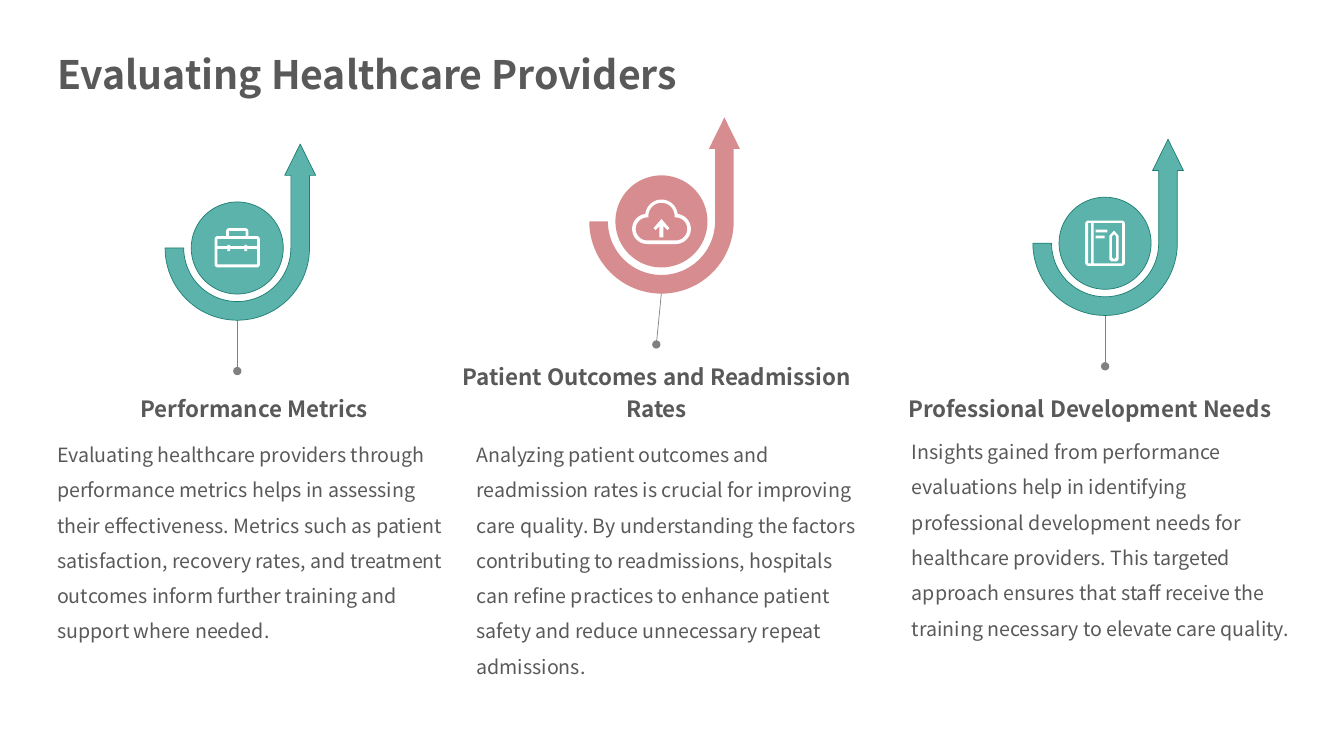
from math import cos, radians, sin

from lxml.etree import SubElement
from pptx import Presentation
from pptx.dml.color import RGBColor
from pptx.enum.shapes import MSO_CONNECTOR, MSO_SHAPE
from pptx.enum.text import MSO_ANCHOR, MSO_AUTO_SIZE, PP_ALIGN
from pptx.oxml.ns import qn
from pptx.util import Cm, Pt

FONT = "Noto Sans CJK SC"
TEXT, PIN, WHITE = "595959", "808080", "FFFFFF"
TEAL, TEAL_EDGE, ROSE = "5CB3AB", "1F7F72", "D78D8F"
COLUMN_WIDTH = 10.34
DISC_RADIUS, INNER_RADIUS, OUTER_RADIUS = 1.16, 1.35, 1.82


def color(value):
    return RGBColor.from_string(value)


# Text
def write(shape, text, size=14, bold=False, align=PP_ALIGN.LEFT,
          anchor=MSO_ANCHOR.TOP, spacing=1.0):
    frame = shape.text_frame
    frame.word_wrap = True
    frame.auto_size = MSO_AUTO_SIZE.NONE
    frame.vertical_anchor = anchor
    para = frame.paragraphs[0]
    para.alignment = align
    para.line_spacing = spacing
    para.space_before = Pt(0)
    span = para.add_run()
    span.text = text
    span.font.name = FONT
    span.font.size = Pt(size)
    span.font.bold = bold
    span.font.color.rgb = color(TEXT)


def text_box(page, box, text, **form):
    write(page.shapes.add_textbox(*map(Cm, box)), text, **form)


# Outlines, in centimetres around the middle of a badge
def arc(x, y, radius, start, end, steps=24):
    angles = [radians(start + (end - start) * i / steps) for i in range(steps + 1)]
    return [(x + radius * cos(a), y + radius * sin(a)) for a in angles]


def rectangle(left, top, right, bottom):
    return [(left, top), (right, top), (right, bottom), (left, bottom)]


def rounded(left, top, right, bottom, r=0.08):
    return (arc(left + r, top + r, r, 180, 270, 6) + arc(right - r, top + r, r, 270, 360, 6)
            + arc(right - r, bottom - r, r, 0, 90, 6) + arc(left + r, bottom - r, r, 90, 180, 6))


def paint(shape, fill, edge=None):
    shape.shadow.inherit = False
    shape.fill.solid()
    shape.fill.fore_color.rgb = color(fill)
    if edge:
        shape.line.color.rgb = color(edge)
        shape.line.width = Pt(0.5)
    else:
        shape.line.fill.background()


def outline(page, center, contours, fill, edge=None):
    x, y = center
    paths = [[(Cm(x + dx), Cm(y + dy)) for dx, dy in contour] for contour in contours]
    builder = page.shapes.build_freeform(*paths[0][0], scale=1.0)
    for number, points in enumerate(paths):
        if number:
            builder.move_to(*points[0])
        builder.add_line_segments(points[1:], close=True)
    paint(builder.convert_to_shape(), fill, edge)


# Icons
def compartment(far, edge, clasp):
    right = [(0.5, edge), (0.25, edge), (0.25, clasp), (0.18, clasp), (0.18, edge)]
    left = [(-x, y) for x, y in reversed(right)]
    return [(-0.5, far), (0.5, far)] + right + left


def briefcase(page, center):
    r = 0.08
    silhouette = (arc(-0.49, -0.22, r, 180, 270, 6) + [(-0.28, -0.3)]
                  + arc(-0.2, -0.42, r, 180, 270, 6) + arc(0.2, -0.42, r, 270, 360, 6)
                  + [(0.28, -0.3)] + arc(0.49, -0.22, r, 270, 360, 6)
                  + arc(0.49, 0.41, r, 0, 90, 6) + arc(-0.49, 0.41, r, 90, 180, 6))
    outline(page, center, [silhouette, rectangle(-0.21, -0.43, 0.21, -0.3),
                           compartment(-0.23, -0.05, -0.08),
                           compartment(0.41, 0.02, 0.08)], WHITE)


def cloud(page, center):
    outer = (arc(-0.36, 0.19, 0.38, 90, 262) + arc(0, -0.14, 0.41, 187, 353)
             + arc(0.36, 0.19, 0.38, 278, 450))
    inner = (arc(-0.36, 0.19, 0.29, 90, 270) + [(-0.33, -0.1)]
             + arc(0, -0.14, 0.33, 180, 360) + [(0.33, -0.1)]
             + arc(0.36, 0.19, 0.29, 270, 450))
    half = [(0.2, 0.17), (0.15, 0.22), (0.05, 0.12), (0.05, 0.4)]
    upload = [(0, -0.06)] + half + [(-x, y) for x, y in reversed(half)]
    outline(page, center, [outer, inner], WHITE)
    outline(page, center, [upload], WHITE)


def pencil(left, tip, right, shoulder, bottom):
    return [(left, shoulder), ((left + right) / 2, tip), (right, shoulder),
            (right, bottom - 0.05), (right - 0.05, bottom),
            (left + 0.05, bottom), (left, bottom - 0.05)]


def notebook(page, center):
    outline(page, center, [rounded(-0.5, -0.57, 0.5, 0.57),
                           rectangle(-0.43, -0.51, -0.35, 0.51),
                           rectangle(-0.29, -0.51, 0.43, 0.51)], WHITE)
    outline(page, center, [pencil(0.11, -0.32, 0.34, -0.19, 0.46),
                           pencil(0.17, -0.23, 0.28, -0.17, 0.4)], WHITE)
    for top, width in ((-0.34, 0.3), (-0.19, 0.23)):
        box = (center[0] - 0.24, center[1] + top, width, 0.07)
        paint(page.shapes.add_shape(MSO_SHAPE.RECTANGLE, *map(Cm, box)), WHITE)


# Badge: pin, disc, hooked arrow and icon
def badge(page, center, icon, fill, edge, lean):
    x, y = center
    pin = page.shapes.add_connector(MSO_CONNECTOR.STRAIGHT, Cm(x), Cm(y + 1.78),
                                    Cm(x + lean), Cm(y + 3.1))
    pin.line.color.rgb = color(PIN)
    pin.line.width = Pt(0.5)
    SubElement(pin.line._get_or_add_ln(), qn("a:tailEnd"), type="oval")
    SubElement(pin._element.spPr, qn("a:effectLst"))

    box = (x - DISC_RADIUS, y - DISC_RADIUS, 2 * DISC_RADIUS, 2 * DISC_RADIUS)
    paint(page.shapes.add_shape(MSO_SHAPE.OVAL, *map(Cm, box)), fill, edge)

    neck, middle = -1.83, (INNER_RADIUS + OUTER_RADIUS) / 2
    hook = ([(middle, -2.62), (middle - 0.39, neck), (INNER_RADIUS, neck)]
            + arc(0, 0, INNER_RADIUS, 0, 180, 48) + arc(0, 0, OUTER_RADIUS, 180, 0, 48)
            + [(OUTER_RADIUS, neck), (middle + 0.39, neck)])
    outline(page, center, [hook], fill, edge)
    icon(page, center)


# Column: badge above a heading and its description
def column(page, center, icon, fill, edge, lean, heading_left, heading, body_at, body):
    badge(page, center, icon, fill, edge, lean)
    text_box(page, (heading_left, 8.94, COLUMN_WIDTH, 1.83), heading, size=16, bold=True,
             align=PP_ALIGN.CENTER, anchor=MSO_ANCHOR.BOTTOM, spacing=1.2)
    text_box(page, (*body_at, COLUMN_WIDTH, 6.6), body, spacing=1.5)


def heading_bar(page, box, text):
    title = page.shapes.title
    title.left, title.top, title.width, title.height = map(Cm, box)
    write(title, text, size=28, bold=True, anchor=MSO_ANCHOR.MIDDLE)


COLUMNS = [
    ((5.98, 6.25), briefcase, TEAL, TEAL_EDGE, 0, 1.24, "Performance Metrics", (1.19, 10.74),
     "Evaluating healthcare providers through performance metrics helps in assessing their "
     "effectiveness. Metrics such as patient satisfaction, recovery rates, and treatment "
     "outcomes inform further training and support where needed."),
    ((16.67, 5.58), cloud, ROSE, None, -0.13, 11.38,
     "Patient Outcomes and Readmission Rates", (11.76, 10.74),
     "Analyzing patient outcomes and readmission rates is crucial for improving care quality. "
     "By understanding the factors contributing to readmissions, hospitals can refine "
     "practices to enhance patient safety and reduce unnecessary repeat admissions."),
    ((27.85, 6.13), notebook, TEAL, TEAL_EDGE, 0, 22.3,
     "Professional Development Needs", (22.73, 10.67),
     "Insights gained from performance evaluations help in identifying professional "
     "development needs for healthcare providers. This targeted approach ensures that staff "
     "receive the training necessary to elevate care quality."),
]


def main():
    deck = Presentation()
    deck.slide_width, deck.slide_height = Cm(33.87), Cm(19.05)
    page = deck.slides.add_slide(deck.slide_layouts[5])
    heading_bar(page, (1.19, 1.14, 24, 1.45), "Evaluating Healthcare Providers")
    for parts in COLUMNS:
        column(page, *parts)
    deck.save("out.pptx")


if __name__ == "__main__":
    main()
